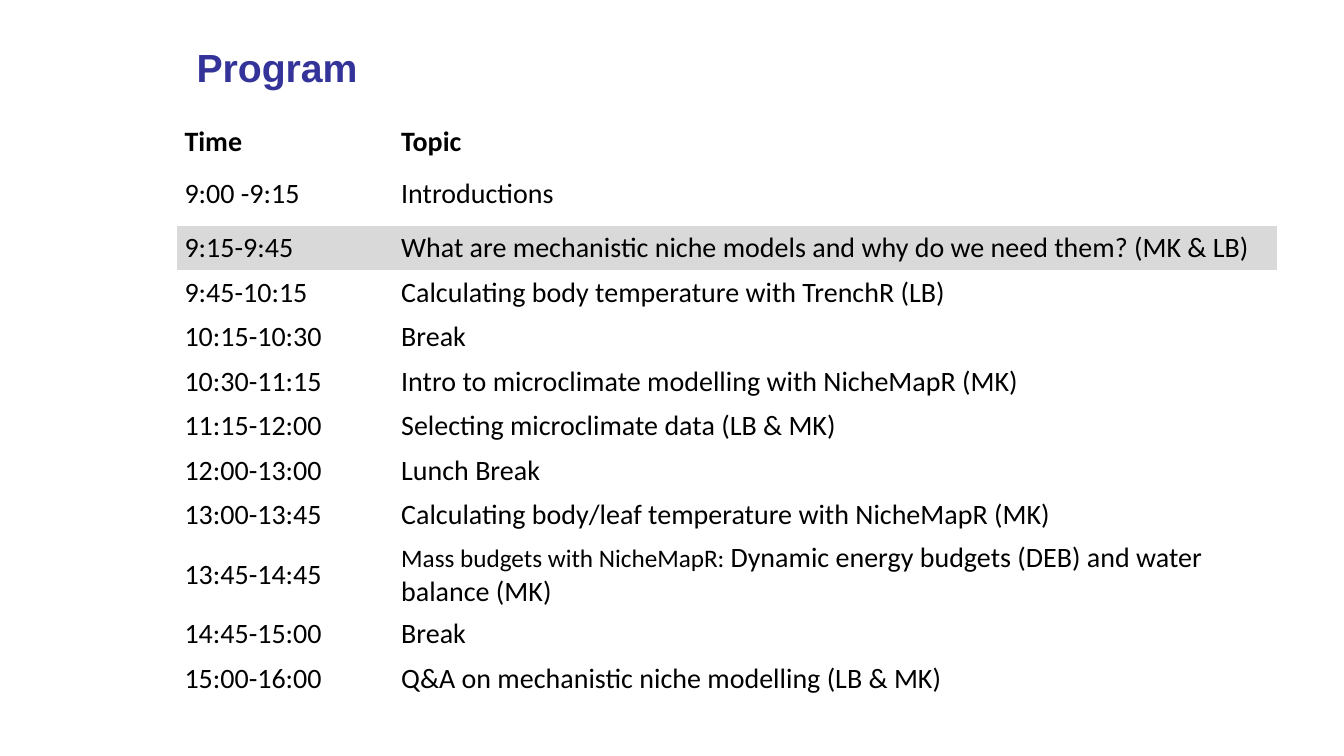
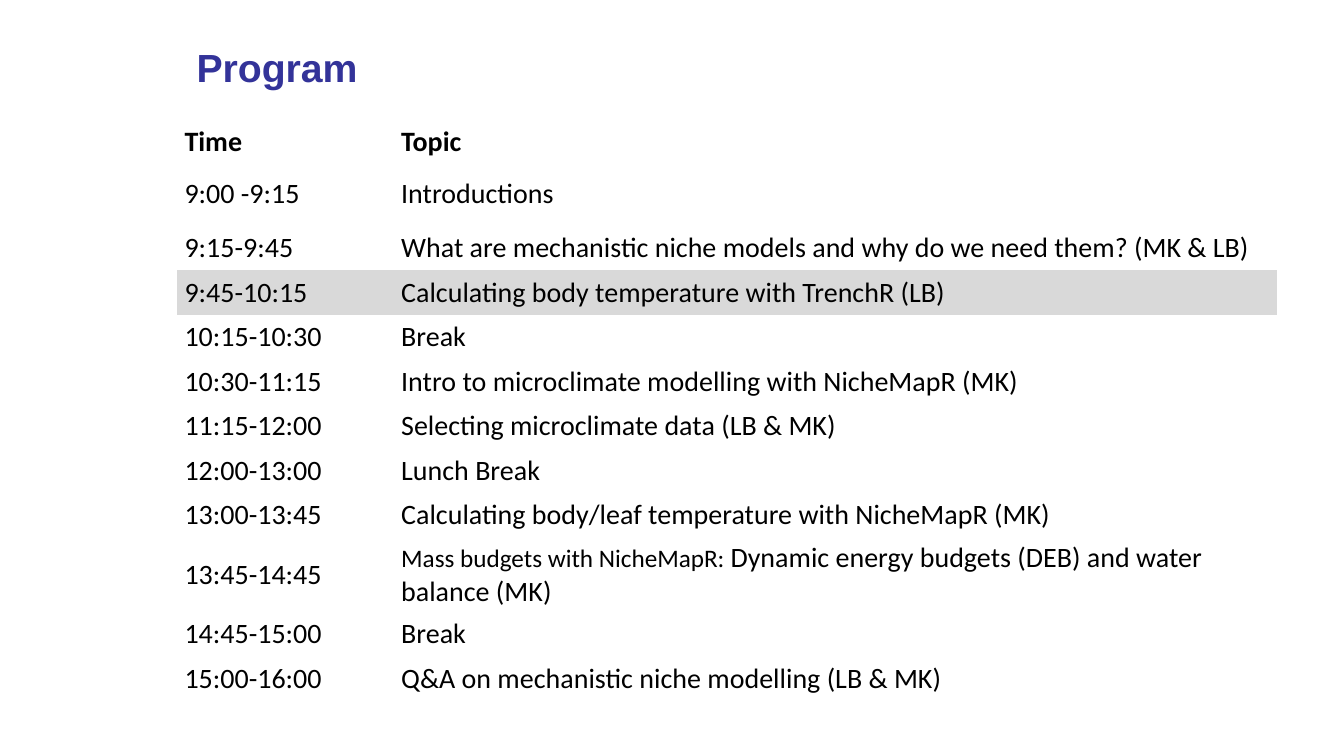
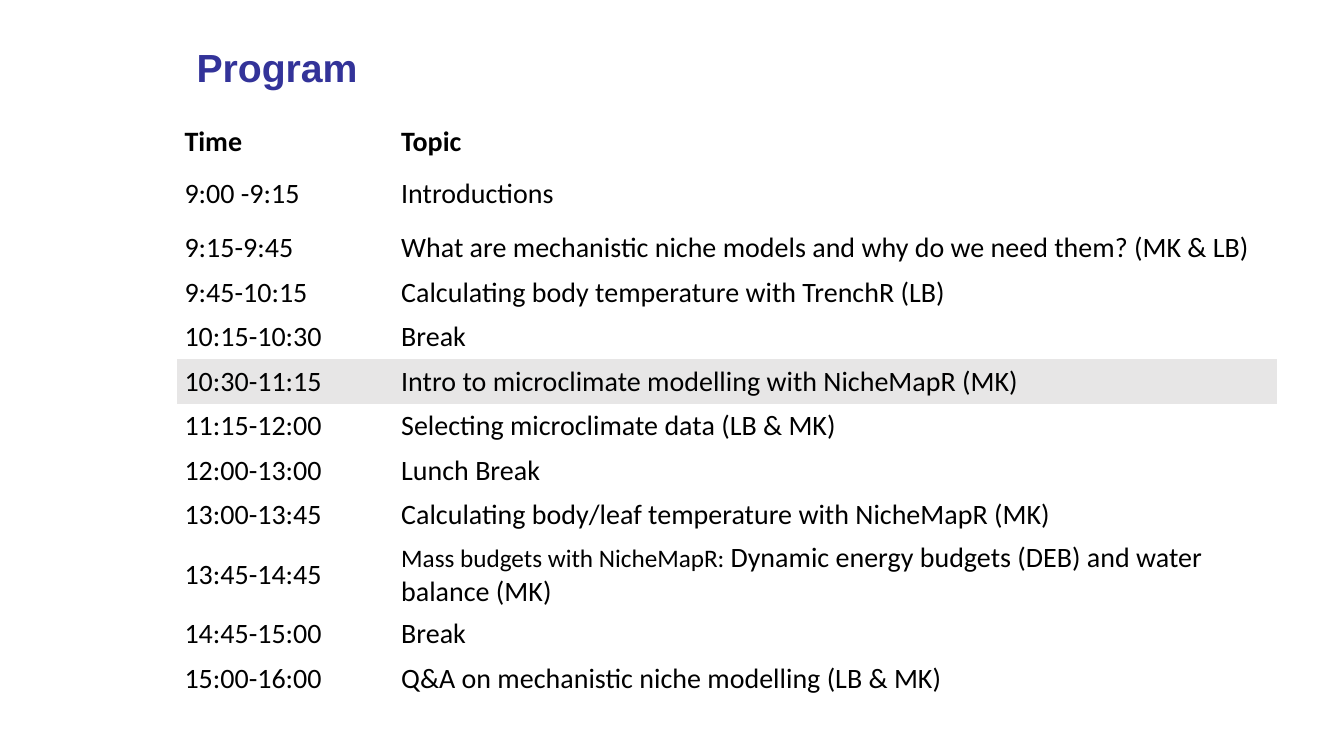
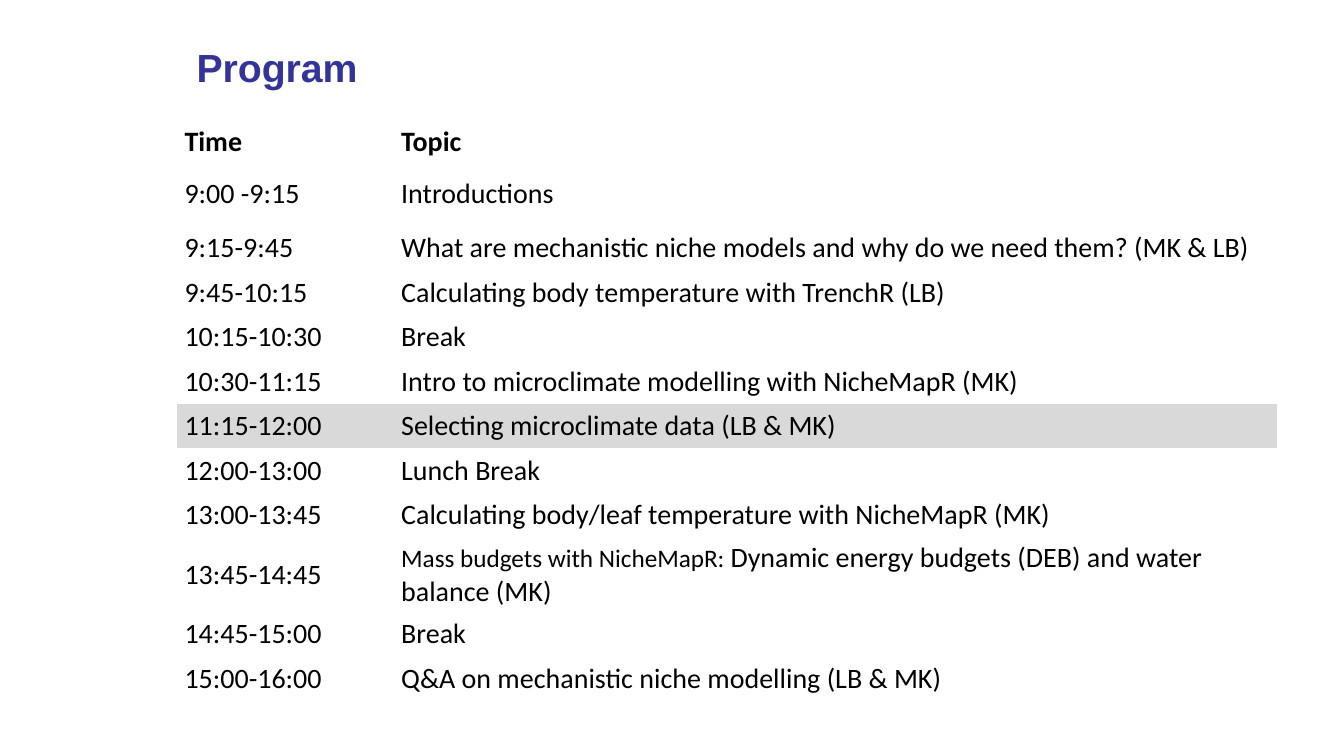
from pptx import Presentation
from pptx.dml.color import RGBColor
from pptx.enum.text import MSO_ANCHOR, MSO_AUTO_SIZE, PP_ALIGN
from pptx.util import Cm, Pt

TITLE_BLUE = "333399"
BLACK = "000000"
GREY = "D9D9D9"
LIGHT_GREY = "E7E6E6"
NO_STYLE_NO_GRID = "{2D5ABB26-0587-4C30-8999-92F81FD0307C}"

COLUMN_WIDTHS = (5.46, 22.25)
HEADER_HEIGHT, FIRST_HEIGHT, ROW_HEIGHT = 0.86, 1.6, 1.12

PROGRAM = [
    ("Time", "Topic"),
    ("9:00 -9:15", "Introductions"),
    ("9:15-9:45", "What are mechanistic niche models and why do we need them? (MK & LB)"),
    ("9:45-10:15", "Calculating body temperature with TrenchR (LB)"),
    ("10:15-10:30", "Break"),
    ("10:30-11:15", "Intro to microclimate modelling with NicheMapR (MK)"),
    ("11:15-12:00", "Selecting microclimate data (LB & MK)"),
    ("12:00-13:00", "Lunch Break"),
    ("13:00-13:45", "Calculating body/leaf temperature with NicheMapR (MK)"),
    ("13:45-14:45", ("Mass budgets with NicheMapR: ",
                     "Dynamic energy budgets (DEB) and water balance (MK)")),
    ("14:45-15:00", "Break"),
    ("15:00-16:00", "Q&A on mechanistic niche modelling (LB & MK)"),
    ("", ""),
]

HIGHLIGHTS = [
    ("9:15-9:45", GREY),
    ("9:45-10:15", GREY),
    ("10:30-11:15", LIGHT_GREY),
    ("11:15-12:00", GREY),
]


def rgb(value):
    """Return the colour for a hex string."""
    return RGBColor.from_string(value)


def format_font(font, name, size, color, bold):
    """Set typeface, size, colour and weight of a font."""
    font.name = name
    font.size = Pt(size)
    font.color.rgb = rgb(color)
    font.bold = bold


def add_title(s, text):
    """Place and format the slide title."""
    title = s.shapes.title
    title.left, title.top, title.width, title.height = Cm(4.7), Cm(0.97), Cm(14.1), Cm(1.45)
    tf = title.text_frame
    tf.text = text
    tf.word_wrap = True
    tf.auto_size = MSO_AUTO_SIZE.NONE
    tf.vertical_anchor = MSO_ANCHOR.TOP
    p = tf.paragraphs[0]
    p.alignment = PP_ALIGN.LEFT
    format_font(p.runs[0].font, "Arial", 28, TITLE_BLUE, True)


def fill_cell(cell, content, fill, bold):
    """Write one cell; in a tuple the first part is a smaller lead-in."""
    cell.margin_left = cell.margin_right = Cm(0.18)
    cell.margin_top = cell.margin_bottom = Cm(0.08)
    cell.vertical_anchor = MSO_ANCHOR.MIDDLE
    if fill:
        cell.fill.solid()
        cell.fill.fore_color.rgb = rgb(fill)
    else:
        cell.fill.background()
    parts = (content,) if isinstance(content, str) else content
    p = cell.text_frame.paragraphs[0]
    for i, part in enumerate(parts):
        if part:
            r = p.add_run()
            r.text = part
            size = 18 if i < len(parts) - 1 else 20
            format_font(r.font, "Calibri", size, BLACK, bold)


def add_program(s, current, color):
    """Add the timetable with the current session highlighted."""
    heights = [HEADER_HEIGHT, FIRST_HEIGHT] + [ROW_HEIGHT] * (len(PROGRAM) - 2)
    frame = s.shapes.add_table(len(PROGRAM), len(COLUMN_WIDTHS), Cm(4.47), Cm(3.07),
                               Cm(sum(COLUMN_WIDTHS)), Cm(sum(heights)))
    table = frame.table
    table.first_row = table.horz_banding = False
    table._tbl.tblPr[0].text = NO_STYLE_NO_GRID
    for column, width in zip(table.columns, COLUMN_WIDTHS):
        column.width = Cm(width)
    for i, (row, height, contents) in enumerate(zip(table.rows, heights, PROGRAM)):
        row.height = Cm(height)
        fill = color if contents[0] == current else None
        for cell, content in zip(row.cells, contents):
            fill_cell(cell, content, fill, bold=i == 0)


def main():
    """Build one program slide per highlighted session."""
    prs = Presentation()
    prs.slide_width, prs.slide_height = Cm(33.87), Cm(19.05)
    for current, color in HIGHLIGHTS:
        s = prs.slides.add_slide(prs.slide_layouts[5])
        add_title(s, "Program")
        add_program(s, current, color)
    prs.save("out.pptx")


if __name__ == "__main__":
    main()
